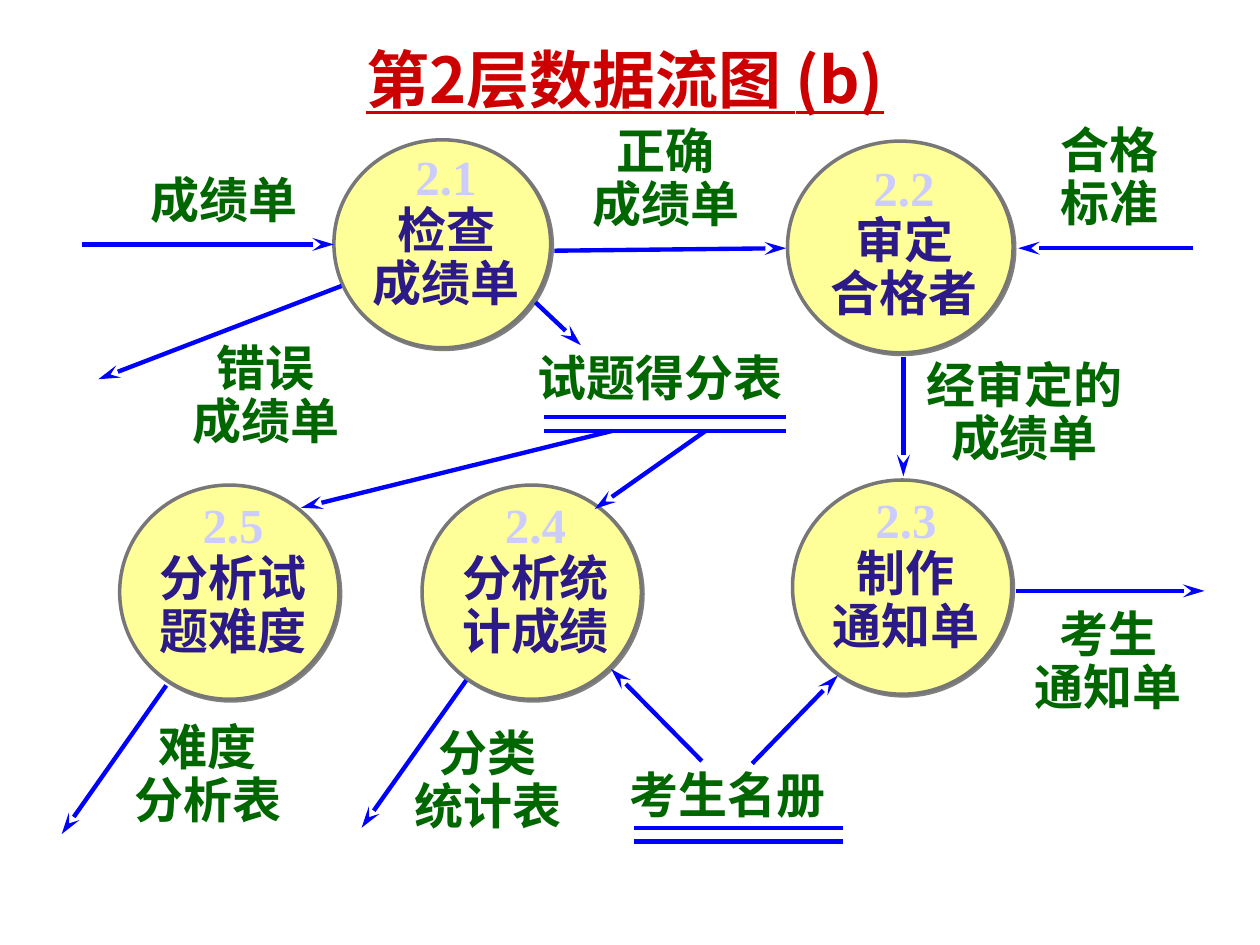
import pptx
import pptx.util
import pptx.dml.color
import pptx.enum.shapes
import pptx.enum.text
import pptx.oxml
import pptx.oxml.ns
from lxml import etree

Inches, Pt = pptx.util.Inches, pptx.util.Pt
ALIGN = pptx.enum.text.PP_ALIGN
COLORS = {
    "title": "CC0000", "label": "006600", "number": "CCCCFF", "name": "2C1A88",
    "flow": "0000FF", "fill": "FFFF99", "outline": "777777", "shadow": "808080",
}
CJK_FONT, LATIN_FONT = "Noto Sans CJK JP", "Times New Roman"
A = pptx.oxml.ns.nsdecls("a")

# Bubble box, drop of its text from the top, number and name lines
PROCESSES = [
    ((2.65, 1.11, 1.72, 1.65), 0.06, ["2.1", "检查", "成绩单"]),
    ((6.25, 1.12, 1.79, 1.68), 0.13, ["2.2", "审定", "合格者"]),
    ((6.29, 3.81, 1.74, 1.7), 0.08, ["2.3", "制作", "通知单"]),
    ((3.35, 3.85, 1.74, 1.7), 0.08, ["2.4", "分析统", "计成绩"]),
    ((0.95, 3.85, 1.74, 1.7), 0.08, ["2.5", "分析试", "题难度"]),
]
# Box of the pair of rules, then box and name of the label above it
STORES = [
    ((4.32, 3.31, 1.92, 0.11), (4.17, 2.71, 2.35, 0.57), "试题得分表"),
    ((5.03, 6.57, 1.66, 0.11), (4.9, 6.02, 1.76, 0.57), "考生名册"),
]
FLOW_LABELS = [
    ((0.83, 1.3, 1.89, 0.57), ["成绩单"], ALIGN.CENTER),
    ((4.42, 0.96, 1.73, 0.94), ["正确", "成绩单"], ALIGN.CENTER),
    ((8.32, 0.95, 1.09, 0.94), ["合格", "标准"], ALIGN.LEFT),
    ((1.31, 2.68, 1.6, 0.94), ["错误", "成绩单"], ALIGN.CENTER),
    ((7.02, 2.82, 2.22, 0.94), ["经审定的", "成绩单"], ALIGN.CENTER),
    ((7.96, 4.79, 1.67, 0.94), ["考生", "通知单"], ALIGN.CENTER),
    ((0.86, 5.69, 1.58, 0.94), ["难度", "分析表"], ALIGN.CENTER),
    ((3.08, 5.74, 1.58, 0.94), ["分类", "统计表"], ALIGN.CENTER),
]
# Start x, y and arrow tip x, y
FLOWS = [
    (0.65, 1.94, 2.65, 1.94),
    (4.4, 1.99, 6.24, 1.97),
    (9.47, 1.97, 8.08, 1.97),
    (2.71, 2.27, 0.78, 3.01),
    (4.25, 2.4, 4.61, 2.74),
    (7.17, 2.83, 7.17, 3.78),
    (4.86, 3.42, 2.39, 4.03),
    (5.6, 3.42, 4.72, 4.04),
    (8.06, 4.69, 9.56, 4.69),
    (1.32, 5.44, 0.49, 6.62),
    (3.7, 5.4, 2.87, 6.57),
    (5.57, 6.04, 4.85, 5.31),
    (5.97, 6.06, 6.65, 5.36),
]


def color(name):
    return pptx.dml.color.RGBColor.from_string(COLORS[name])


def inches(values):
    return [Inches(value) for value in values]


def add_span(para, text, shade, **formats):
    span = para.add_run()
    span.text = text
    span.font.color.rgb = color(shade)
    for key, value in ({"size": Pt(28), "bold": True, "name": LATIN_FONT} | formats).items():
        setattr(span.font, key, value)
    east_asian = etree.SubElement(span.font._element, pptx.oxml.ns.qn("a:ea"))
    east_asian.set("typeface", CJK_FONT)


def add_text(page, box, lines, shades, align=ALIGN.CENTER, wrap=True):
    frame = page.shapes.add_textbox(*inches(box)).text_frame
    frame.word_wrap = wrap
    for index, (line, shade) in enumerate(zip(lines, shades)):
        para = frame.add_paragraph() if index else frame.paragraphs[0]
        para.alignment = align
        if len(lines) > 1:
            para.line_spacing = 0.9
        add_span(para, line, shade)


def add_line(page, ends, arrow=False):
    line = page.shapes.add_connector(
        pptx.enum.shapes.MSO_CONNECTOR.STRAIGHT, *inches(ends))
    line.line.color.rgb = color("flow")
    line.line.width = Pt(2.5)
    if arrow:
        line.line._get_or_add_ln().append(pptx.oxml.parse_xml(
            f'<a:tailEnd {A} type="stealth" w="med" len="lg"/>'))
    line._element.spPr.append(pptx.oxml.parse_xml(f"<a:effectLst {A}/>"))


def add_title(page, box):
    title = page.shapes.title
    title.left, title.top, title.width, title.height = inches(box)
    frame = title.text_frame
    frame.auto_size = pptx.enum.text.MSO_AUTO_SIZE.NONE
    frame.vertical_anchor = pptx.enum.text.MSO_ANCHOR.TOP
    frame.paragraphs[0].alignment = ALIGN.CENTER
    add_span(frame.paragraphs[0], "第2层数据流图 (b)", "title",
             size=Pt(36), underline=True, name=CJK_FONT)


def add_process(page, box, drop, lines):
    bubble = page.shapes.add_shape(pptx.enum.shapes.MSO_SHAPE.OVAL, *inches(box))
    bubble.fill.solid()
    bubble.fill.fore_color.rgb = color("fill")
    bubble.line.color.rgb = color("outline")
    bubble.line.width = Pt(2)
    # Hard shadow towards the lower right
    bubble._element.spPr.append(pptx.oxml.parse_xml(
        f'<a:effectLst {A}><a:outerShdw blurRad="0" dist="{Pt(1.4)}" dir="2700000">'
        f'<a:srgbClr val="{COLORS["shadow"]}"/></a:outerShdw></a:effectLst>'))
    left, top, width, _ = box
    text_width = 1.55
    text_left = left + (width - text_width) / 2 + 0.03
    add_text(page, (text_left, top + drop, text_width, 1.36), lines,
             ["number", "name", "name"])


def add_store(page, box, label_box, name):
    left, top, width, height = box
    add_text(page, label_box, [name], ["label"], ALIGN.LEFT, wrap=False)
    for y in (top, top + height):
        add_line(page, (left, y, left + width, y))


def main():
    deck = pptx.Presentation()
    deck.slide_width, deck.slide_height = Inches(10), Inches(7.5)
    page = deck.slides.add_slide(deck.slide_layouts.get_by_name("Title Only"))
    add_title(page, (1.96, 0.27, 6, 0.7))
    for process in PROCESSES:
        add_process(page, *process)
    for store in STORES:
        add_store(page, *store)
    for box, lines, align in FLOW_LABELS:
        add_text(page, box, lines, ["label"] * len(lines), align)
    for ends in FLOWS:
        add_line(page, ends, arrow=True)
    deck.save("out.pptx")


if __name__ == "__main__":
    main()
